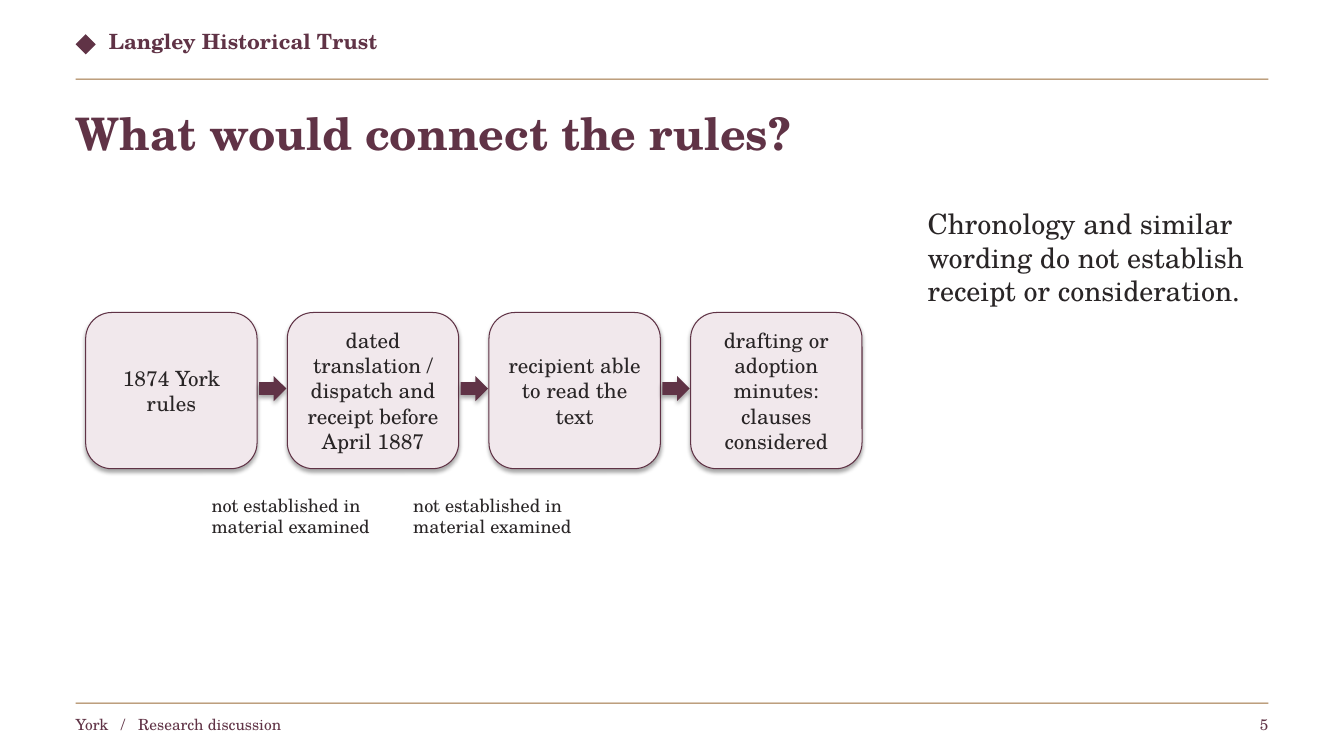
from lxml import etree
from pptx import Presentation
from pptx.dml.color import RGBColor
from pptx.enum import shapes, text
from pptx.oxml.ns import qn
from pptx.util import Inches, Pt

PLUM, GOLD, INK, BLUSH = "603346", "9A6C39", "292526", "F1E8EC"
SHAPE, ALIGN = shapes.MSO_SHAPE, text.PP_ALIGN

prs = Presentation()
prs.slide_width, prs.slide_height = Inches(13.33), Inches(7.5)
s = prs.slides.add_slide(prs.slide_layouts[6])


def add_shape(kind, x, y, w, h, fill):
    sp = s.shapes.add_shape(kind, Inches(x), Inches(y), Inches(w), Inches(h))
    sp.fill.solid()
    sp.fill.fore_color.rgb = RGBColor.from_string(fill)
    sp.line.fill.background()
    return sp


def write(sp, words, size, color, bold=False, align=ALIGN.LEFT, inset=True):
    tf = sp.text_frame
    tf.word_wrap = True
    if not inset:
        tf.margin_left = tf.margin_right = tf.margin_top = tf.margin_bottom = 0
    p = tf.paragraphs[0]
    p.text = words
    p.alignment = align
    font = p.runs[0].font
    font.name, font.size, font.bold = "TeX Gyre Schola", Pt(size), bold
    font.color.rgb = RGBColor.from_string(color)
    return p


for kind, x, y, w, h, fill in [
    (SHAPE.DIAMOND, 0.75, 0.34, 0.2, 0.2, PLUM),
    (SHAPE.RECTANGLE, 0.75, 0.78, 11.83, 0.01, GOLD),
    (SHAPE.RECTANGLE, 0.75, 6.97, 11.83, 0.01, GOLD),
]:
    add_shape(kind, x, y, w, h, fill).shadow.inherit = False

for x, y, w, h, words, size, color, bold, align in [
    (1.08, 0.28, 8, 0.38, "Langley Historical Trust", 15, PLUM, True, ALIGN.LEFT),
    (0.75, 1.05, 11.83, 0.72, "What would connect the rules?", 32, PLUM, True, ALIGN.LEFT),
    (9.2, 2.05, 3.36, 4.55,
     "Chronology and similar wording do not establish receipt or consideration.",
     20, INK, False, ALIGN.LEFT),
    (11.92, 7.09, 0.66, 0.25, "5", 11, PLUM, False, ALIGN.RIGHT),
]:
    tb = s.shapes.add_textbox(Inches(x), Inches(y), Inches(w), Inches(h))
    write(tb, words, size, color, bold, align, inset=False)

footer = s.shapes.add_textbox(Inches(0.75), Inches(7.09), Inches(8), Inches(0.25))
p = write(footer, "York\t/\tResearch discussion", 11, PLUM, inset=False)
tabs = etree.SubElement(p._p.get_or_add_pPr(), qn("a:tabLst"))
for stop in (0.45, 0.62):
    etree.SubElement(tabs, qn("a:tab"), pos=str(Inches(stop)), algn="l")

steps = [
    "1874 York rules",
    "dated translation / dispatch and receipt before April 1887",
    "recipient able to read the text",
    "drafting or adoption minutes: clauses considered",
]
pitch = 2
for i, step in enumerate(steps):
    x = 0.85 + i * pitch
    box = add_shape(SHAPE.ROUNDED_RECTANGLE, x, 3.1, 1.7, 1.55, BLUSH)
    box.line.color.rgb = RGBColor.from_string(PLUM)
    box.line.width = Pt(0.75)
    box.text_frame.vertical_anchor = text.MSO_ANCHOR.MIDDLE
    write(box, step, 15, INK, align=ALIGN.CENTER)
    if i < len(steps) - 1:
        add_shape(SHAPE.RIGHT_ARROW, x + 1.72, 3.73, 0.27, 0.25, PLUM)

for i in range(2):
    note = s.shapes.add_textbox(Inches(2 + i * pitch), Inches(4.85), Inches(2), Inches(0.8))
    write(note, "not established in material examined", 13, INK)

prs.save("out.pptx")
